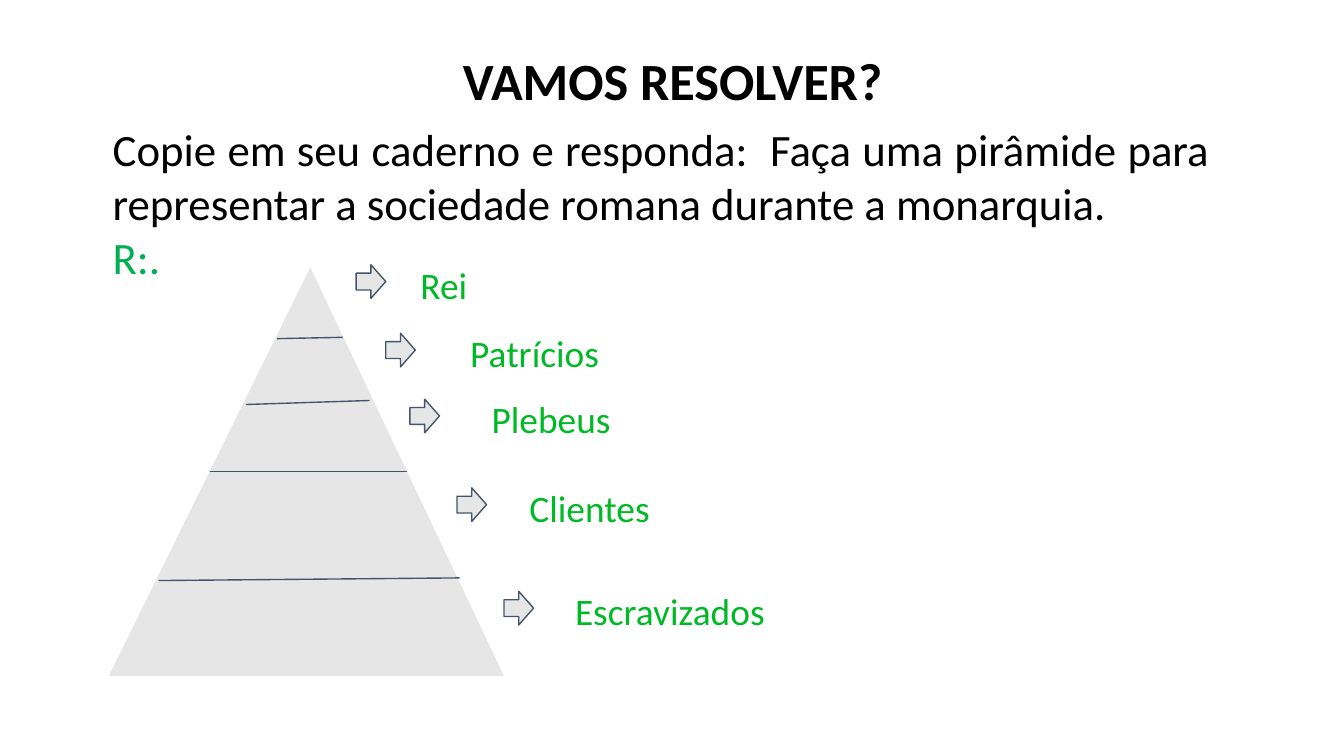
import pptx
import pptx.dml.color
import pptx.enum.shapes
import pptx.enum.text
import pptx.oxml.ns
import pptx.util
from lxml import etree

Inches = pptx.util.Inches
Shapes = pptx.enum.shapes.MSO_SHAPE
Align = pptx.enum.text.PP_ALIGN

# Content
TITLE = "VAMOS RESOLVER?"
QUESTION = ("Copie em seu caderno e responda:  Faça uma pirâmide para "
            "representar a sociedade romana durante a monarquia.")
ANSWER = "R:."
# Social class, arrow left, arrow top, label left, label width
CLASSES = [
    ("Rei", 2.65, 1.97, 3.03, 0.57),
    ("Patrícios", 2.87, 2.48, 3.40, 1.27),
    ("Plebeus", 3.05, 2.97, 3.56, 1.10),
    ("Clientes", 3.40, 3.63, 3.84, 1.19),
    ("Escravizados", 3.75, 4.40, 4.18, 1.69),
]
# Lines between the classes: left x, left y, right x, right y
DIVIDERS = [
    (2.06, 2.52, 2.55, 2.51),
    (1.83, 3.01, 2.75, 2.98),
    (1.56, 3.51, 3.03, 3.51),
    (1.18, 4.32, 3.42, 4.30),
]
COLORS = {"text": "000000", "answer": "00B050", "label": "00B927",
          "fill": "E7E6E6", "line": "44546A"}
FONT = "Calibri"
SLIDE_WIDTH = 10
SLIDE_HEIGHT = SLIDE_WIDTH * 9 / 16
ARROW_SIZE = (0.22, 0.25)
LABEL_RISE, LABEL_HEIGHT = 0.12, 0.54


def rgb(name):
    return pptx.dml.color.RGBColor.from_string(COLORS[name])


def set_frame(shape, margin, wrap=True):
    frame = shape.text_frame
    frame.word_wrap = wrap
    frame.auto_size = pptx.enum.text.MSO_AUTO_SIZE.NONE
    frame.vertical_anchor = pptx.enum.text.MSO_ANCHOR.TOP
    frame.margin_left = frame.margin_right = Inches(0.1)
    frame.margin_top = frame.margin_bottom = Inches(margin)
    return frame


def write(paragraph, text, size, color, align=Align.LEFT, bold=False):
    paragraph.alignment = align
    paragraph.line_spacing = 1.0
    paragraph.space_before = pptx.util.Pt(0)
    run = paragraph.add_run()
    run.text = text
    run.font.name = FONT
    run.font.size = pptx.util.Pt(size)
    run.font.bold = bold
    run.font.color.rgb = rgb(color)


def set_line(shape):
    shape.line.color.rgb = rgb("line")
    shape.line.width = pptx.util.Pt(0.75)


def add_filled(slide, kind, left, top, width, height):
    shape = slide.shapes.add_shape(kind, *map(Inches, (left, top, width, height)))
    shape.shadow.inherit = False
    shape.fill.solid()
    shape.fill.fore_color.rgb = rgb("fill")
    return shape


def main():
    deck = pptx.Presentation()
    deck.slide_width, deck.slide_height = map(Inches, (SLIDE_WIDTH, SLIDE_HEIGHT))
    slide = deck.slides.add_slide(deck.slide_layouts[5])

    # Title
    title = slide.shapes.title
    title.left, title.top, title.width, title.height = map(
        Inches, (1.86, 0.31, 6.29, 0.57))
    write(set_frame(title, 0.05).paragraphs[0], TITLE, 28, "text",
          Align.CENTER, True)

    # Question and start of the answer
    question = slide.shapes.add_textbox(*map(Inches, (0.74, 0.86, 8.36, 3.33)))
    frame = set_frame(question, 0.05)
    write(frame.paragraphs[0], QUESTION, 24, "text", Align.JUSTIFY)
    write(frame.add_paragraph(), ANSWER, 24, "answer", Align.JUSTIFY)

    # Pyramid and its dividing lines
    pyramid = add_filled(slide, Shapes.ISOSCELES_TRIANGLE,
                         0.81, 1.99, 2.94, 3.04)
    pyramid.adjustments[0] = 0.51
    pyramid.line.fill.background()
    for ends in DIVIDERS:
        divider = slide.shapes.add_connector(
            pptx.enum.shapes.MSO_CONNECTOR.STRAIGHT, *map(Inches, ends))
        set_line(divider)
        etree.SubElement(divider._element.spPr,
                         pptx.oxml.ns.qn("a:effectLst"))

    # Arrow and label for each class
    for name, arrow_left, arrow_top, label_left, label_width in CLASSES:
        set_line(add_filled(slide, Shapes.RIGHT_ARROW, arrow_left, arrow_top,
                            *ARROW_SIZE))
        label = slide.shapes.add_textbox(*map(Inches, (
            label_left, arrow_top - LABEL_RISE, label_width, LABEL_HEIGHT)))
        write(set_frame(label, 0.1, wrap=False).paragraphs[0],
              name, 20, "label")

    deck.save("out.pptx")


if __name__ == "__main__":
    main()
